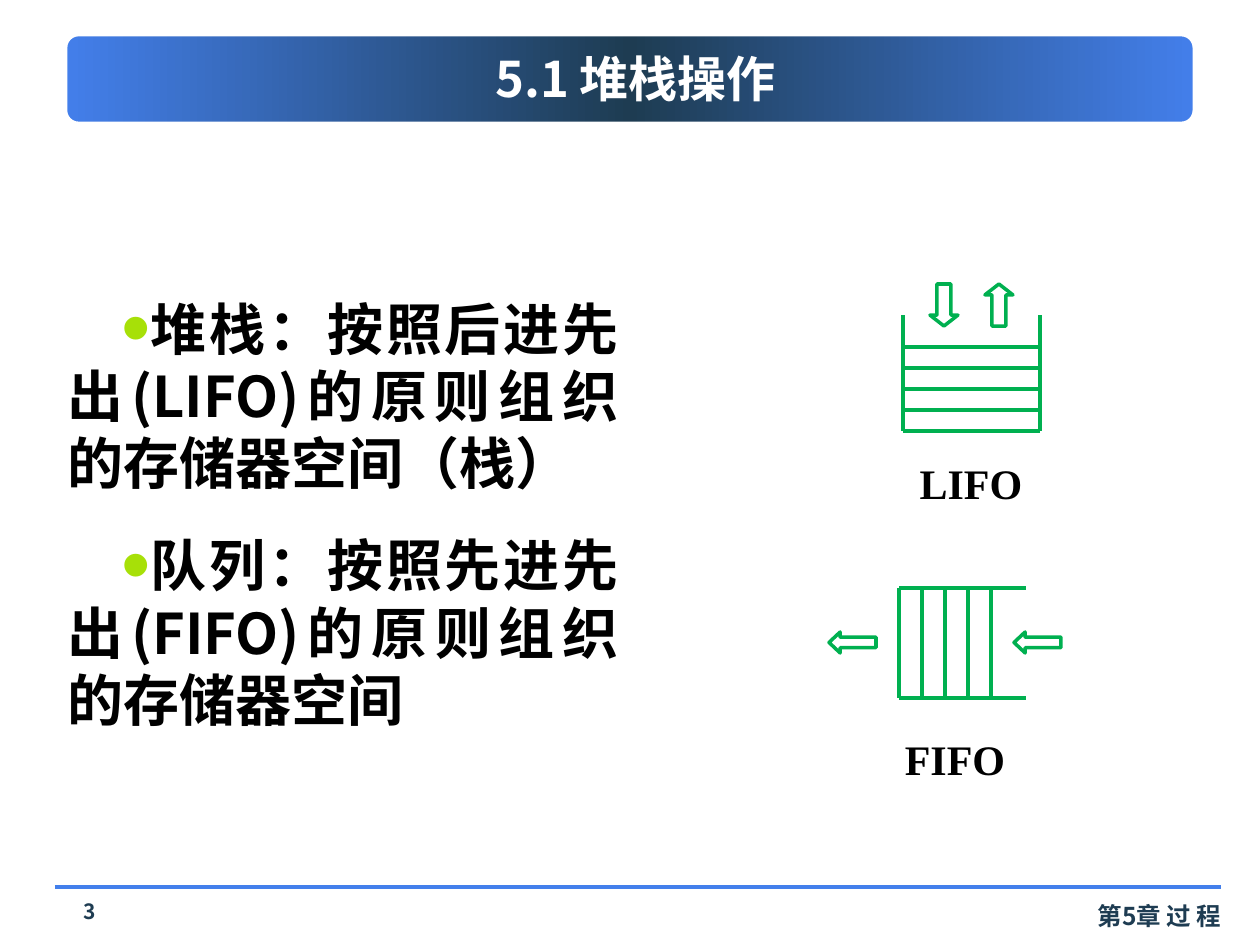
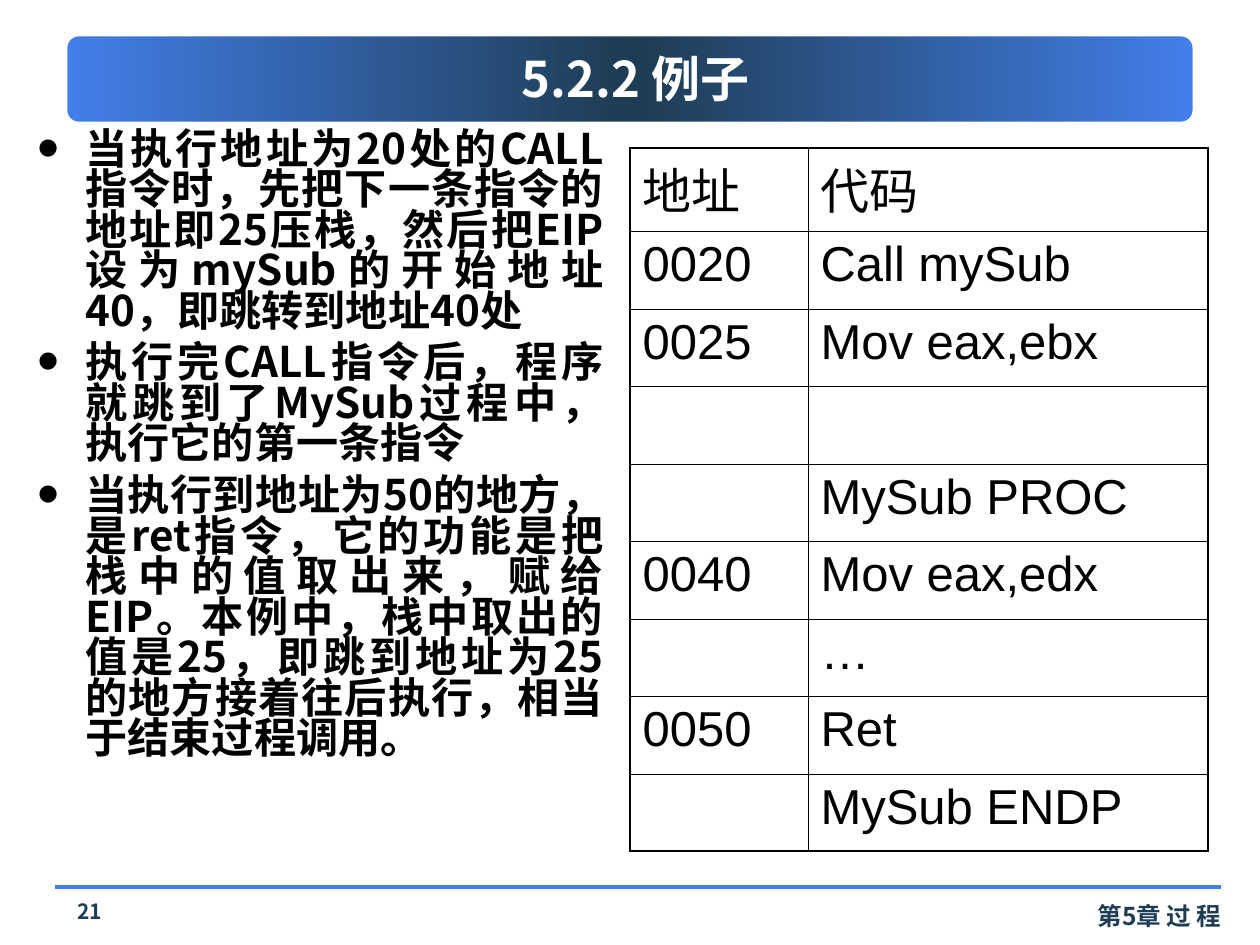
import copy

import pptx
import pptx.dml.color
import pptx.enum.shapes
import pptx.enum.text
import pptx.oxml
import pptx.oxml.ns
import pptx.util

RGBColor = pptx.dml.color.RGBColor
BLUE = RGBColor(0x43, 0x7F, 0xEB)
NAVY = RGBColor(0x1E, 0x3C, 0x52)
WHITE = RGBColor(0xFF, 0xFF, 0xFF)
BLACK = RGBColor(0, 0, 0)
GREEN = RGBColor(0, 0xB0, 0x50)
LIME = RGBColor(0xA7, 0xE0, 0x08)

SHAPE = pptx.enum.shapes.MSO_SHAPE
ALIGN = pptx.enum.text.PP_ALIGN
ANCHOR = pptx.enum.text.MSO_ANCHOR
Pt = pptx.util.Pt
qn = pptx.oxml.ns.qn

SANS = "Noto Sans CJK SC"
SERIF = "Times New Roman"
PX_PER_INCH = 126


def px(length):
    return pptx.util.Emu(round(length * 914400 / PX_PER_INCH))


def add_xml(parent, tag, inner="", **attributes):
    listed = "".join(f' {name}="{value}"' for name, value in attributes.items())
    node = pptx.oxml.parse_xml(
        f'<a:{tag} {pptx.oxml.ns.nsdecls("a")}{listed}>{inner}</a:{tag}>')
    parent.append(node)
    return node


def set_values(target, values):
    for name, value in values.items():
        setattr(target, name, value)


class Lecture:
    def __init__(self):
        self.deck = pptx.Presentation()
        set_values(self.deck, {"slide_width": px(1260), "slide_height": px(945)})
        self.page = None

    def start_page(self, title, number):
        self.page = self.deck.slides.add_slide(self.deck.slide_layouts[6])
        self.title_band(63, 32, 1134, 94)
        self.line(55, 887, 1221, 887, BLUE)
        self.text(935, 895, 299, 43, ["第5章 过 程"], 14, NAVY, ALIGN.RIGHT)
        self.text(53, 892, 73, 42, [number], 12, NAVY)
        self.text(84, 36, 1103, 84, [title], 28, WHITE, anchor=ANCHOR.MIDDLE)

    def shape(self, kind, left, top, width, height, color, weight):
        box = self.page.shapes.add_shape(kind, px(left), px(top), px(width), px(height))
        box.shadow.inherit = False
        box.fill.background()
        box.line.color.rgb = color
        box.line.width = Pt(weight)
        return box

    def title_band(self, left, top, width, height):
        box = self.shape(SHAPE.ROUNDED_RECTANGLE, left, top, width, height, WHITE, 5)
        box.fill.gradient()
        box.fill.gradient_angle = 0
        stop_list = box.element.spPr.find(".//" + qn("a:gsLst"))
        stop_list.append(copy.deepcopy(stop_list[1]))
        for stop, position, color in zip(
                box.fill.gradient_stops, (0, 0.5, 1), (BLUE, NAVY, BLUE)):
            stop.position = position
            stop.color.rgb = color

    def arrow(self, kind, left, top, width, height, head):
        box = self.shape(kind, left, top, width, height, GREEN, 2)
        box.adjustments[1] = head

    def line(self, x1, y1, x2, y2, color=GREEN):
        line = self.page.shapes.add_connector(
            pptx.enum.shapes.MSO_CONNECTOR.STRAIGHT, px(x1), px(y1), px(x2), px(y2))
        line.line.color.rgb = color
        line.line.width = Pt(2)
        add_xml(line.element.spPr, "effectLst")

    def text(self, left, top, width, height, lines, size, color=BLACK,
             align=ALIGN.CENTER, anchor=ANCHOR.TOP, font=SANS,
             pitch=1.2, gap=0, bullet=None, margin=0, indent=0):
        box = self.page.shapes.add_textbox(px(left), px(top), px(width), px(height))
        frame = box.text_frame
        set_values(frame, {"word_wrap": True, "vertical_anchor": anchor})
        for index, line in enumerate(lines):
            para = frame.add_paragraph() if index else frame.paragraphs[0]
            set_values(para, {
                "alignment": align,
                "line_spacing": Pt(size * pitch),
                "space_before": Pt(gap if index else 0),
            })
            if bullet:
                self.bullet(para, bullet, margin, indent)
            span = para.add_run()
            span.text = line
            self.style(span, font, size, color, True)

    def label(self, center, top, content):
        width = 200
        self.text(center - width // 2, top, width, 63, [content], 24,
                  anchor=ANCHOR.MIDDLE, font=SERIF, pitch=1.1)

    def bullet(self, para, color, margin, indent):
        settings = para._p.get_or_add_pPr()
        settings.set("marL", str(px(margin)))
        settings.set("indent", str(px(indent)))
        settings.set("hangingPunct", "0")
        add_xml(settings, "buClr", f'<a:srgbClr val="{color}"/>')
        add_xml(settings, "buSzPct", val=150000)
        add_xml(settings, "buFont", typeface="Arial")
        add_xml(settings, "buChar", char="•")

    def style(self, span, font, size, color, bold):
        set_values(span.font, {"name": font, "size": Pt(size), "bold": bold})
        span.font.color.rgb = color
        add_xml(span._r.get_or_add_rPr(), "ea", typeface=font)

    def table(self, left, top, widths, heights, rows):
        frame = self.page.shapes.add_table(
            len(rows), len(widths), px(left), px(top), px(sum(widths)), px(sum(heights)))
        table = frame.table
        set_values(table, {"first_row": False, "horz_banding": False})
        for column, width in zip(table.columns, widths):
            column.width = px(width)
        for row, height in zip(table.rows, heights):
            row.height = px(height)
        last_row, last_column = len(rows) - 1, len(widths) - 1
        for r, row in enumerate(rows):
            for c, content in enumerate(row):
                cell = table.cell(r, c)
                cell.margin_top = px(6 if r else 17)
                cell.margin_bottom = px(6 if r else 0)
                if content:
                    span = cell.text_frame.paragraphs[0].add_run()
                    span.text = content
                    self.style(span, "Arial", 28, BLACK, False)
                self.borders(cell, {"lnL": c == 0, "lnR": c == last_column,
                                    "lnT": r == 0, "lnB": r == last_row})
                cell.fill.background()

    def borders(self, cell, edges):
        settings = cell._tc.get_or_add_tcPr()
        for tag, outer in edges.items():
            add_xml(settings, tag,
                    f'<a:solidFill><a:srgbClr val="{BLACK}"/></a:solidFill>',
                    w=Pt(1.08 if outer else 0.45))


def stack_diagram(lecture):
    left, right, bottom = 903, 1040, 431
    for x in (left, right):
        lecture.line(x, 315, x, bottom)
    for layer in range(5):
        y = bottom - 21 * layer
        lecture.line(left, y, right, y)
    lecture.arrow(SHAPE.DOWN_ARROW, 930, 284, 28, 42, 0.39)
    lecture.arrow(SHAPE.UP_ARROW, 985, 284, 28, 42, 0.39)
    lecture.label(971, 453, "LIFO")


def queue_diagram(lecture):
    left, right, top, bottom = 899, 1026, 588, 698
    for y in (top, bottom):
        lecture.line(right, y, left, y)
    for slot in range(5):
        x = left + 23 * slot
        lecture.line(x, top, x, bottom)
    for x in (829, 1014):
        lecture.arrow(SHAPE.LEFT_ARROW, x, 632, 47, 21, 0.53)
    lecture.label(955, 729, "FIFO")


def main():
    lecture = Lecture()

    lecture.start_page("5.1 堆栈操作", "3")
    lecture.text(55, 288, 576, 597, [
        "堆栈：按照后进先出(LIFO)的原则组织的存储器空间（栈）",
        "队列：按照先进先出(FIFO)的原则组织的存储器空间",
    ], 32, align=ALIGN.JUSTIFY, gap=20, bullet=LIME, indent=54)
    stack_diagram(lecture)
    queue_diagram(lecture)

    lecture.start_page("5.2.2 例子", "21")
    lecture.text(25, 126, 591, 759, [
        "当执行地址为20处的CALL指令时，先把下一条指令的地址即25压栈，"
        "然后把EIP设为mySub的开始地址40，即跳转到地址40处",
        "执行完CALL指令后，程序就跳到了MySub过程中， 执行它的第一条指令",
        "当执行到地址为50的地方，是ret指令，它的功能是把栈中的值取出来，"
        "赋给EIP。本例中，栈中取出的值是25，即跳到地址为25的地方接着往后执行，"
        "相当于结束过程调用。",
    ], 24.1, align=ALIGN.JUSTIFY, pitch=0.96, gap=6.5, bullet=BLACK, margin=48, indent=-48)
    code_rows = [
        ("地址", "代码"),
        ("0020", "Call mySub"),
        ("0025", "Mov eax,ebx"),
        ("", ""),
        ("", "MySub PROC"),
        ("0040", "Mov eax,edx"),
        ("", "…"),
        ("0050", "Ret"),
        ("", "MySub ENDP"),
    ]
    heights = [83] + [77 + row % 2 for row in range(1, len(code_rows))]
    lecture.table(630, 148, [178, 400], heights, code_rows)

    lecture.deck.save("out.pptx")


if __name__ == "__main__":
    main()
